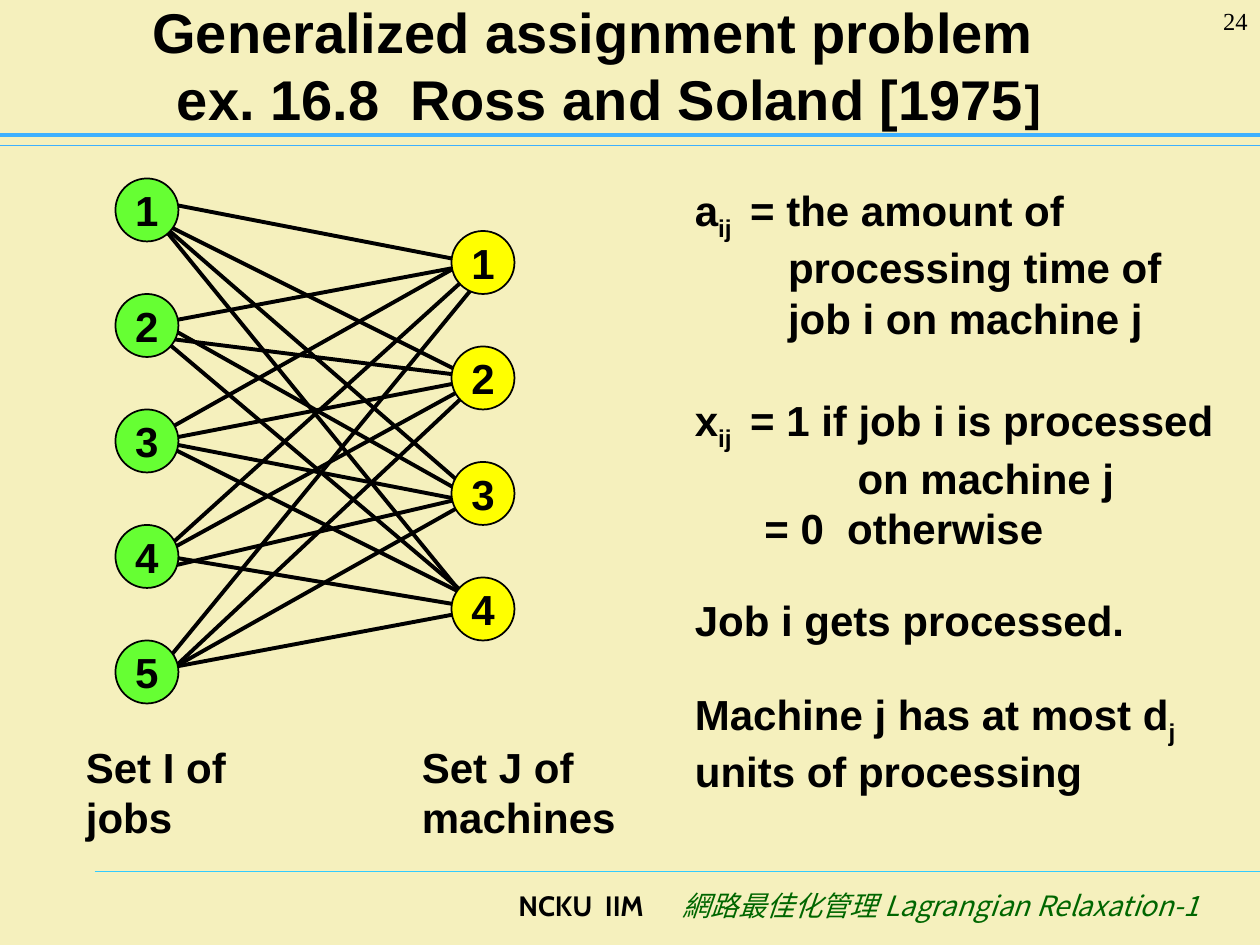
from lxml import etree
from pptx import Presentation
from pptx.dml.color import RGBColor
from pptx.enum.shapes import MSO_CONNECTOR, MSO_SHAPE
from pptx.enum.text import MSO_ANCHOR, PP_ALIGN
from pptx.oxml.ns import qn
from pptx.util import Pt

EMU_PER_PX = 9525
COLORS = {
    "background": "F5F0BD",
    "ink": "000000",
    "rule": "3DB0FF",
    "footer_rule": "33CCFF",
    "course": "006600",
    "job": "66FF33",
    "machine": "FFFF00",
}
NODE_SIZE = 48
NODE_STEP = 88
LINKS = [
    (112, 152, 360, 200), (120, 168, 360, 288), (120, 168, 360, 376), (120, 168, 368, 472),
    (112, 248, 368, 200), (112, 256, 368, 288), (112, 240, 368, 384), (112, 248, 368, 464),
    (112, 336, 368, 192), (120, 336, 368, 288), (120, 336, 368, 384), (120, 336, 376, 464),
    (120, 424, 368, 200), (120, 424, 368, 288), (128, 432, 368, 376), (128, 424, 368, 464),
    (120, 512, 376, 200), (112, 528, 368, 288), (112, 520, 368, 376), (112, 512, 368, 464),
]


def px(value):
    return value * EMU_PER_PX


def color(name):
    return RGBColor.from_string(COLORS[name])


def add_line(slide, x1, y1, x2, y2, name="ink", width=2.25):
    line = slide.shapes.add_connector(MSO_CONNECTOR.STRAIGHT, px(x1), px(y1), px(x2), px(y2))
    line.line.color.rgb = color(name)
    line.line.width = Pt(width)
    etree.SubElement(line._element.spPr, qn("a:effectLst"))


def write_text(frame, paragraphs, *, size=24, font="Arial", name="ink", bold=True,
               italic=False, align=PP_ALIGN.LEFT, anchor=MSO_ANCHOR.TOP, wrap=True):
    frame.word_wrap = wrap
    frame.vertical_anchor = anchor
    for index, (runs, left, right) in enumerate(paragraphs):
        paragraph = frame.paragraphs[0] if index == 0 else frame.add_paragraph()
        paragraph.alignment = align
        properties = paragraph._p.get_or_add_pPr()
        properties.set("marL", str(px(left)))
        properties.set("marR", str(px(right)))
        for text, style in runs:
            run = paragraph.add_run()
            run.text = text
            run.font.size = Pt(style.get("size", size))
            run.font.name = font
            run.font.bold = bold
            run.font.italic = italic
            run.font.color.rgb = color(name)
            run_properties = run._r.get_or_add_rPr()
            etree.SubElement(run_properties, qn("a:ea")).set("typeface", font)
            if "baseline" in style:
                run_properties.set("baseline", str(style["baseline"]))


def row(*runs, left=0, right=0):
    return [run if isinstance(run, tuple) else (run, {}) for run in runs], left, right


def subscript(text):
    return text, {"baseline": -25000}


def add_text(slide, x, y, width, height, *paragraphs, **text_format):
    box = slide.shapes.add_textbox(px(x), px(y), px(width), px(height))
    write_text(box.text_frame, paragraphs, **text_format)


def add_nodes(slide, x, top, count, fill):
    for index in range(count):
        node = slide.shapes.add_shape(MSO_SHAPE.OVAL, px(x), px(top + index * NODE_STEP),
                                      px(NODE_SIZE), px(NODE_SIZE))
        node.shadow.inherit = False
        node.fill.solid()
        node.fill.fore_color.rgb = color(fill)
        node.line.color.rgb = color("ink")
        node.line.width = Pt(1)
        write_text(node.text_frame, [row(str(index + 1))], align=PP_ALIGN.CENTER,
                   anchor=MSO_ANCHOR.MIDDLE, wrap=False)


def add_frame(slide):
    add_line(slide, 72, 664, 960, 664, "footer_rule", 0.75)
    add_line(slide, 0, 111, 960, 111, "rule", 0.75)
    add_line(slide, 0, 103, 960, 103, "rule", 2.5)
    add_text(slide, 340, 672, 160, 48, row("NCKU  IIM"),
             size=16, font="Cabin", align=PP_ALIGN.RIGHT)
    add_text(slide, 500, 672, 423, 48, row("網路最佳化管理 Lagrangian Relaxation-1"),
             size=16, font="Noto Sans CJK SC", name="course", bold=False, italic=True,
             align=PP_ALIGN.RIGHT)
    add_text(slide, 32, 0, 864, 99,
             row("Generalized assignment problem", right=24),
             row("ex. 16.8  Ross and Soland [1975", ("]", {"size": 28})),
             size=32, align=PP_ALIGN.CENTER, anchor=MSO_ANCHOR.MIDDLE)
    add_text(slide, 880, 0, 80, 48, row("24"), size=14, font="Times New Roman",
             bold=False, align=PP_ALIGN.RIGHT)


def add_network(slide):
    for link in LINKS:
        add_line(slide, *link)
    add_nodes(slide, 88, 136, 5, "job")
    add_nodes(slide, 344, 176, 4, "machine")
    add_text(slide, 56, 560, 136, 86, row("Set I of jobs"))
    add_text(slide, 312, 560, 168, 86, row("Set J of machines"))


def add_definitions(slide):
    add_text(slide, 520, 136, 392, 131,
             row("a", subscript("ij "), " = the amount of"),
             row("processing time of", left=71),
             row("job i on machine j", left=71))
    add_text(slide, 520, 296, 424, 131,
             row("x", subscript("ij "), " = 1 if job i is processed"),
             row("on machine j", left=124),
             row("= 0  otherwise", left=53))
    add_text(slide, 520, 448, 400, 86, row("Job i gets processed."))
    add_text(slide, 520, 520, 400, 92,
             row("Machine j has at most d", subscript("j"), " units of processing"))


def main():
    presentation = Presentation()
    presentation.slide_width = px(960)
    presentation.slide_height = px(720)
    slide = presentation.slides.add_slide(presentation.slide_layouts[6])
    slide.background.fill.solid()
    slide.background.fill.fore_color.rgb = color("background")
    add_frame(slide)
    add_network(slide)
    add_definitions(slide)
    presentation.save("out.pptx")


if __name__ == "__main__":
    main()
